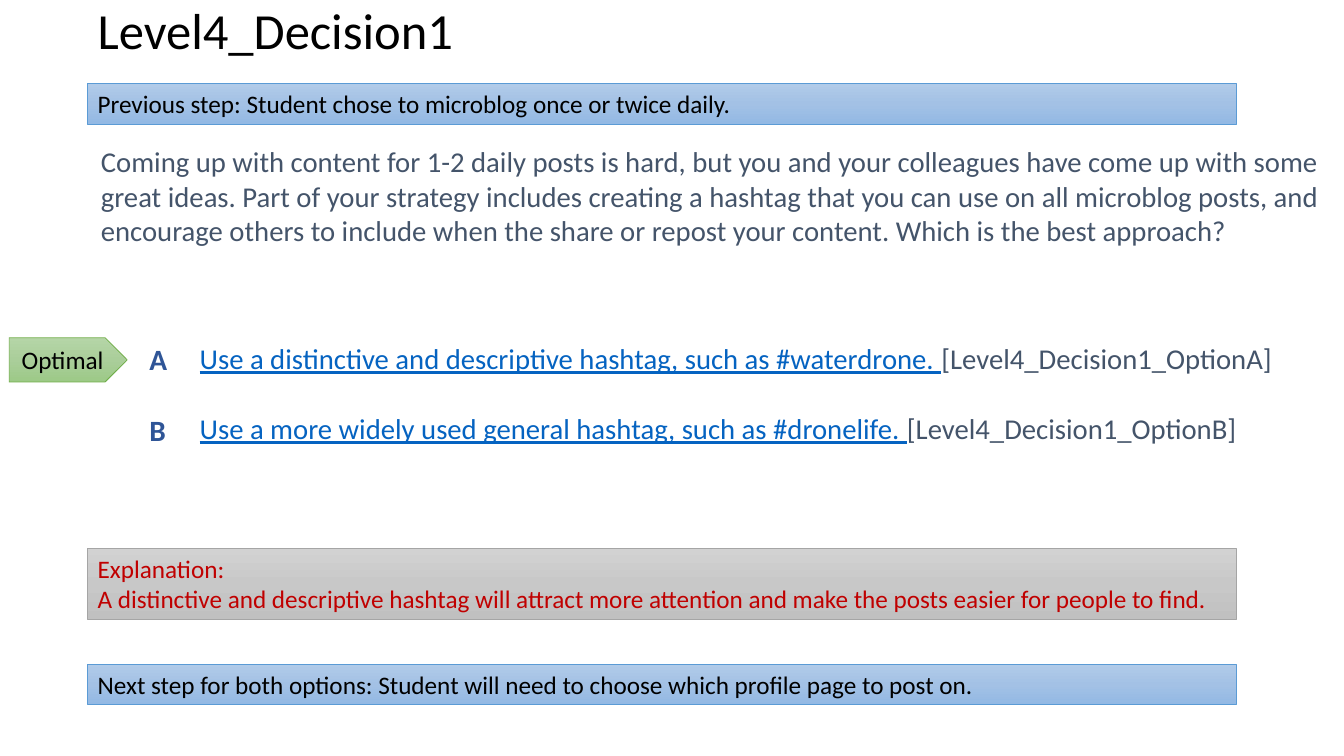
import copy
from dataclasses import dataclass

import pptx
import pptx.dml.color
import pptx.enum.shapes
import pptx.enum.text
import pptx.oxml.ns
import pptx.util

SHAPE = pptx.enum.shapes.MSO_SHAPE
ANCHOR = pptx.enum.text.MSO_ANCHOR
ALIGN = pptx.enum.text.PP_ALIGN

SLIDE_W = pptx.util.Inches(13.33)
SLIDE_H = pptx.util.Inches(7.5)
GRID = 100  # columns across and rows down the slide
LEFT, BAR_W, BAR_H = 6.53, 85.45, 5.33
LETTER_LEFT, OPTION_LEFT, OPTION_TOP = 10.13, 13.88, 44.2


@dataclass(frozen=True)
class Theme:
    font: str = "Calibri"
    black: str = "000000"
    body: str = "44546A"
    link: str = "0563C1"
    letter: str = "2F5597"
    warning: str = "C00000"
    blue: tuple = ("B1CBE9", "A3C1E5", "93B9E4", "5B9BD5")
    gray: tuple = ("D2D2D2", "C8C8C8", "C0C0C0", "A5A5A5")
    green: tuple = ("B5D5A7", "AACE9A", "9CC987", "70AD47")
    title_pt: float = 36.1
    body_pt: float = 20.5
    letter_pt: float = 21
    bar_pt: float = 18


THEME = Theme()


def rgb(value):
    return pptx.dml.color.RGBColor.from_string(value)


def cells(col, row, cols, rows):
    """Turn grid columns and rows into left, top, width and height."""
    return [pptx.util.Emu(int(n * size / GRID)) for n, size in
            ((col, SLIDE_W), (row, SLIDE_H), (cols, SLIDE_W), (rows, SLIDE_H))]


def style_run(r, size, color, bold=False, underline=False):
    r.font.name = THEME.font
    r.font.size = pptx.util.Pt(size)
    r.font.color.rgb = rgb(color)
    r.font.bold = bold
    r.font.underline = underline


def fill_text(s, text, size, color, anchor=ANCHOR.TOP, align=ALIGN.LEFT, bold=False):
    tf = s.text_frame
    tf.word_wrap = True
    tf.vertical_anchor = anchor
    tf.text = text
    for p in tf.paragraphs:
        p.alignment = align
        for r in p.runs:
            style_run(r, size, color, bold)


def add_text(slide, box, text, size, color, roomy=True, **style):
    """Add a text box; a roomy one has wider margins than the default."""
    s = slide.shapes.add_textbox(*cells(*box))
    fill_text(s, text, size, color, **style)
    if roomy:
        tf = s.text_frame
        tf.margin_left = tf.margin_right = pptx.util.Inches(0.13)
        tf.margin_top = tf.margin_bottom = pptx.util.Inches(0.07)
    return s


def apply_gradient(s, colors):
    """Fill from top to bottom with three evenly spaced colours."""
    s.fill.gradient()
    s.fill.gradient_angle = 270
    stops = s._element.spPr.find(".//" + pptx.oxml.ns.qn("a:gsLst"))
    stops.insert(1, copy.deepcopy(stops[0]))
    for i, (stop, color) in enumerate(zip(s.fill.gradient_stops, colors)):
        stop.position = i / 2
        stop.color.rgb = rgb(color)


def add_panel(slide, box, text, palette, color=THEME.black, kind=SHAPE.RECTANGLE, **style):
    s = slide.shapes.add_shape(kind, *cells(*box))
    s.shadow.inherit = False
    *gradient, line = palette
    apply_gradient(s, gradient)
    s.line.color.rgb = rgb(line)
    s.line.width = pptx.util.Pt(0.5)
    fill_text(s, text, THEME.bar_pt, color, **style)


def add_options(slide, options):
    """List each option as an underlined choice followed by its target."""
    s = add_text(slide, (OPTION_LEFT, OPTION_TOP, 86.12, 19.73), "",
                 THEME.body_pt, THEME.body)
    tf = s.text_frame
    for i, (choice, target) in enumerate(options):
        p = tf.add_paragraph() if i else tf.paragraphs[0]
        if i:
            p.space_before = pptx.util.Pt(25)
        for text, color, underline in ((choice, THEME.link, True),
                                       (target, THEME.body, False)):
            r = p.add_run()
            r.text = text
            style_run(r, THEME.body_pt, color, underline=underline)


def main():
    prs = pptx.Presentation()
    prs.slide_width, prs.slide_height = SLIDE_W, SLIDE_H
    slide = prs.slides.add_slide(prs.slide_layouts[6])

    add_text(slide, (LEFT, 18.13, 93.47, 17.47),
             "Coming up with content for 1-2 daily posts is hard, but you and your "
             "colleagues have come up with some great ideas. Part of your strategy "
             "includes creating a hashtag that you can use on all microblog posts, and "
             "encourage others to include when the share or repost your content. "
             "Which is the best approach?", THEME.body_pt, THEME.body)
    title = add_text(slide, (LEFT, 0, BAR_W, 8.8), "Level4_Decision1", THEME.title_pt,
                     THEME.black, roomy=False, anchor=ANCHOR.MIDDLE)
    title.text_frame.paragraphs[0].line_spacing = 0.9

    add_panel(slide, (LEFT, 72.53, BAR_W, 9.47),
              "Explanation:\nA distinctive and descriptive hashtag will attract more "
              "attention and make the posts easier for people to find.",
              THEME.gray, THEME.warning)
    add_panel(slide, (0.68, 44.67, 8.78, 5.87), "Optimal", THEME.green,
              kind=SHAPE.PENTAGON, anchor=ANCHOR.MIDDLE, align=ALIGN.CENTER)
    for row, text in (
            (87.87, "Next step for both options: Student will need to choose which "
                    "profile page to post on."),
            (11.07, "Previous step: Student chose to microblog once or twice daily.")):
        add_panel(slide, (LEFT, row, BAR_W, BAR_H), text, THEME.blue)

    add_options(slide, (
        ("Use a distinctive and descriptive hashtag, such as #waterdrone. ",
         "[Level4_Decision1_OptionA]"),
        ("Use a more widely used general hashtag, such as #dronelife. ",
         "[Level4_Decision1_OptionB]")))
    for i, letter in enumerate("AB"):
        add_text(slide, (LETTER_LEFT, OPTION_TOP + 9.4 * i, 5.2, 6.8), letter,
                 THEME.letter_pt, THEME.letter, bold=True)

    prs.save("out.pptx")


if __name__ == "__main__":
    main()
